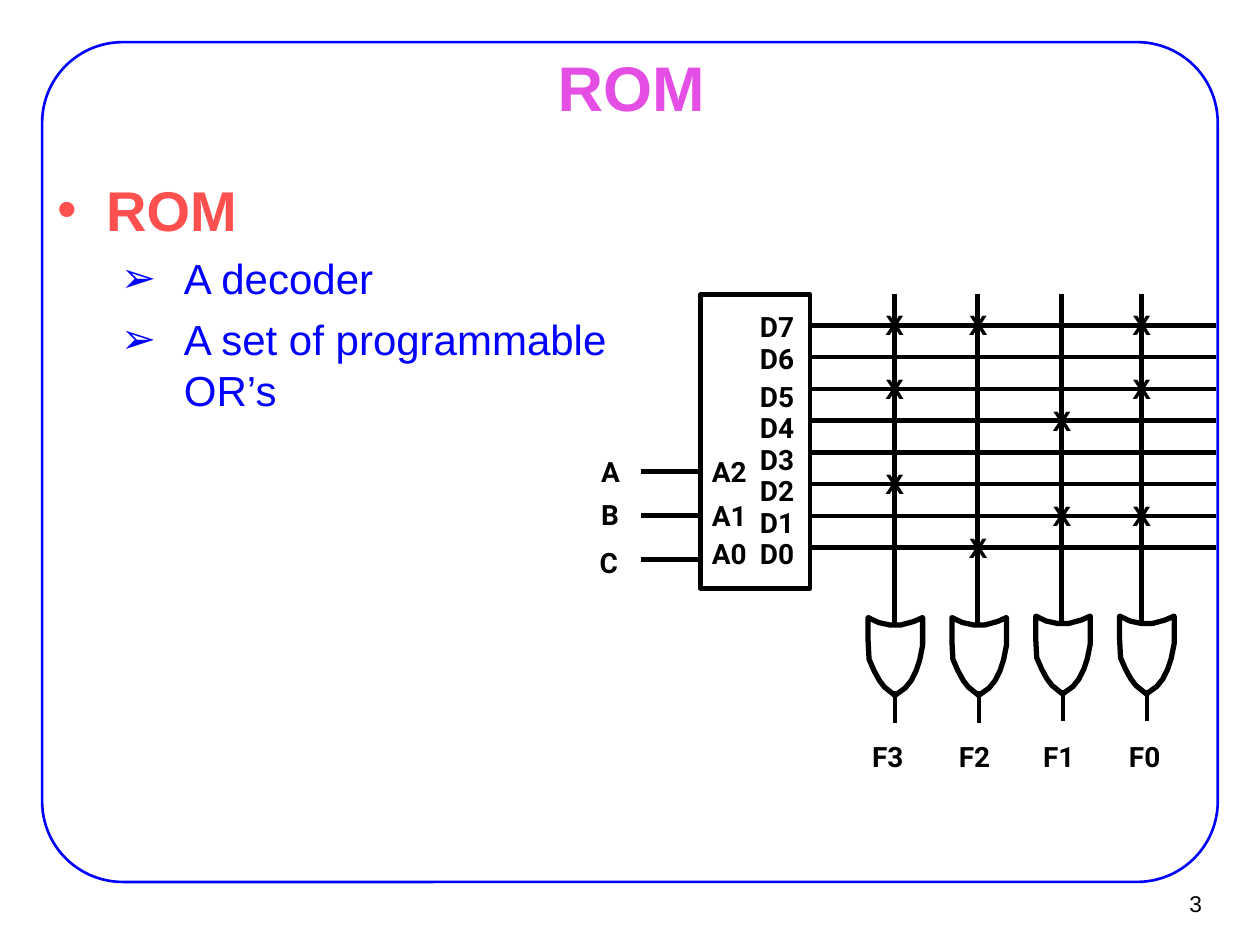
from lxml import etree
from pptx import Presentation
from pptx.dml.color import RGBColor
from pptx.enum import shapes, text
from pptx.oxml import ns
from pptx.util import Cm, Pt

BLACK = RGBColor(0, 0, 0)
BLUE = RGBColor(0, 0, 255)
PINK = RGBColor(0xE4, 0x4E, 0xE4)
RED = RGBColor(0xFF, 0x50, 0x50)

deck = Presentation()
deck.slide_width, deck.slide_height = Cm(25.4), Cm(19.05)
slide = deck.slides.add_slide(deck.slide_layouts[6])
items = slide.shapes


def label(words, left, top, width, height=0.69, size=16, face="Roboto",
          color=BLACK, bold=True, inset=(0, 0), wrap=False):
    """Add a one-line text box and return its frame."""
    box = items.add_textbox(Cm(left), Cm(top), Cm(width), Cm(height))
    frame = box.text_frame
    frame.word_wrap = wrap
    if not wrap:
        frame.auto_size = text.MSO_AUTO_SIZE.SHAPE_TO_FIT_TEXT
    frame.margin_left = frame.margin_right = Cm(inset[0])
    frame.margin_top = frame.margin_bottom = Cm(inset[1])
    line = frame.paragraphs[0]
    line.text = words
    line.font.size, line.font.name, line.font.bold = Pt(size), face, bold
    line.font.color.rgb = color
    return frame


def wire(x1, y1, x2, y2, weight=2.64):
    """Add a straight black line."""
    line = items.add_connector(shapes.MSO_CONNECTOR.STRAIGHT,
                               Cm(x1), Cm(y1), Cm(x2), Cm(y2))
    line.line.color.rgb = BLACK
    line.line.width = Pt(weight)
    etree.SubElement(line._element.spPr, ns.qn("a:effectLst"))


# Frame and decoder outlines
for kind, place, color, weight in (
        (shapes.MSO_SHAPE.ROUNDED_RECTANGLE, (0.85, 0.85, 23.7, 16.93), BLUE, 1.5),
        (shapes.MSO_SHAPE.RECTANGLE, (14.12, 5.94, 2.21, 5.92), BLACK, 2.64)):
    shape = items.add_shape(kind, *map(Cm, place))
    shape.shadow.inherit = False
    shape.fill.background()
    shape.line.color.rgb = color
    shape.line.width = Pt(weight)
    if kind == shapes.MSO_SHAPE.ROUNDED_RECTANGLE:
        shape.adjustments[0] = 0.096

# Title and slide number
title = label("ROM", 1.93, 1.12, 21.59, 1.24, 36, "Arial", PINK,
              inset=(0.28, 0.15), wrap=True)
title.paragraphs[0].alignment = text.PP_ALIGN.CENTER
number = label("3", 22.91, 17.75, 1.55, 0.94, 13, "Arial", bold=False,
               inset=(0.23, 0.1), wrap=True)
number.paragraphs[0].alignment = text.PP_ALIGN.RIGHT
for frame in (title, number):
    frame.vertical_anchor = text.MSO_ANCHOR.MIDDLE

# Bulleted text
body = label("ROM", 0.89, 3.38, 12.19, 6.73, 32, "Arial", RED,
             inset=(0.28, 0.15), wrap=True)
for words in ("A decoder", "A set of programmable OR’s"):
    point = body.add_paragraph()
    point.text, point.level = words, 1
    point.font.size, point.font.name, point.font.bold = Pt(24), "Arial", False
    point.font.color.rgb = BLUE
for point in body.paragraphs:
    sub = point.level == 1
    point.space_before = Pt(6 if sub else 8)
    props = point._p.get_or_add_pPr()
    props.set("marL", str(Cm(2.54 if sub else 0.97)))
    props.set("indent", str(-Cm(1.27 if sub else 0.97)))
    tint = etree.SubElement(props, ns.qn("a:buClr"))
    etree.SubElement(tint, ns.qn("a:srgbClr"), val=str(BLUE if sub else RED))
    etree.SubElement(props, ns.qn("a:buFont"), typeface="Arial")
    etree.SubElement(props, ns.qn("a:buChar"), char="➢" if sub else "•")

# Decoder inputs
for i, (name, left, top, pin) in enumerate((("A", 12.12, 9.17, 9.17),
                                            ("B", 12.12, 10.03, 10.06),
                                            ("C", 12.09, 11, 10.82))):
    y = 9.5 + 0.89 * i
    wire(12.93, y, 14.07, y)
    label(name, left, top, 0.38)
    label(f"A{2 - i}", 14.35, pin, 0.71)

# Decoder outputs
rows = [6.56 + 0.64 * i for i in range(8)]
for i, y in enumerate(rows):
    wire(16.33, y, 24.51, y)
    top = 6.25 + 0.635 * i + (0.13 if i > 1 else 0)
    label(f"D{7 - i}", 15.32, top, 0.74)

# Columns with OR gates; crossings are row indexes from D7 down
GATE = ((55, 0), (37, 8), (11, 15), (-11, 15), (-34, 10), (-55, 0), (-55, 46),
        (-53, 84), (-43, 107), (-32, 127), (-22, 140), (-1, 157), (20, 142),
        (32, 127), (42, 107), (49, 86), (55, 56))
columns = (("F3", 18.03, 17.58, 12.45, (0, 2, 5)),
           ("F2", 19.71, 19.33, 12.45, (0, 7)),
           ("F1", 21.4, 21.03, 12.42, (3, 6)),
           ("F0", 23.01, 22.76, 12.42, (0, 2, 6)))
for i, (name, x, left, top, marks) in enumerate(columns):
    wire(x, 5.92, x, top + 0.14)
    mid = 18.05 + 1.69 * i
    wire(mid, top + 1.48, mid, top + 2.12, 2.24)
    label(name, left, 14.91, 0.64)
    pen = items.build_freeform(*GATE[0], scale=Cm(0.01))
    pen.add_line_segments(GATE[1:], close=True)
    gate = pen.convert_to_shape(Cm(mid), Cm(top))
    gate.shadow.inherit = False
    gate.fill.background()
    gate.line.color.rgb = BLACK
    gate.line.width = Pt(3)
    for mark in marks:
        cross = label("X", x - 0.43, rows[mark] - 0.48, 0.97, 0.94,
                      face="Arial", inset=(0.25, 0.13), wrap=True)
        cross.paragraphs[0].space_before = Pt(10)

deck.save("out.pptx")
